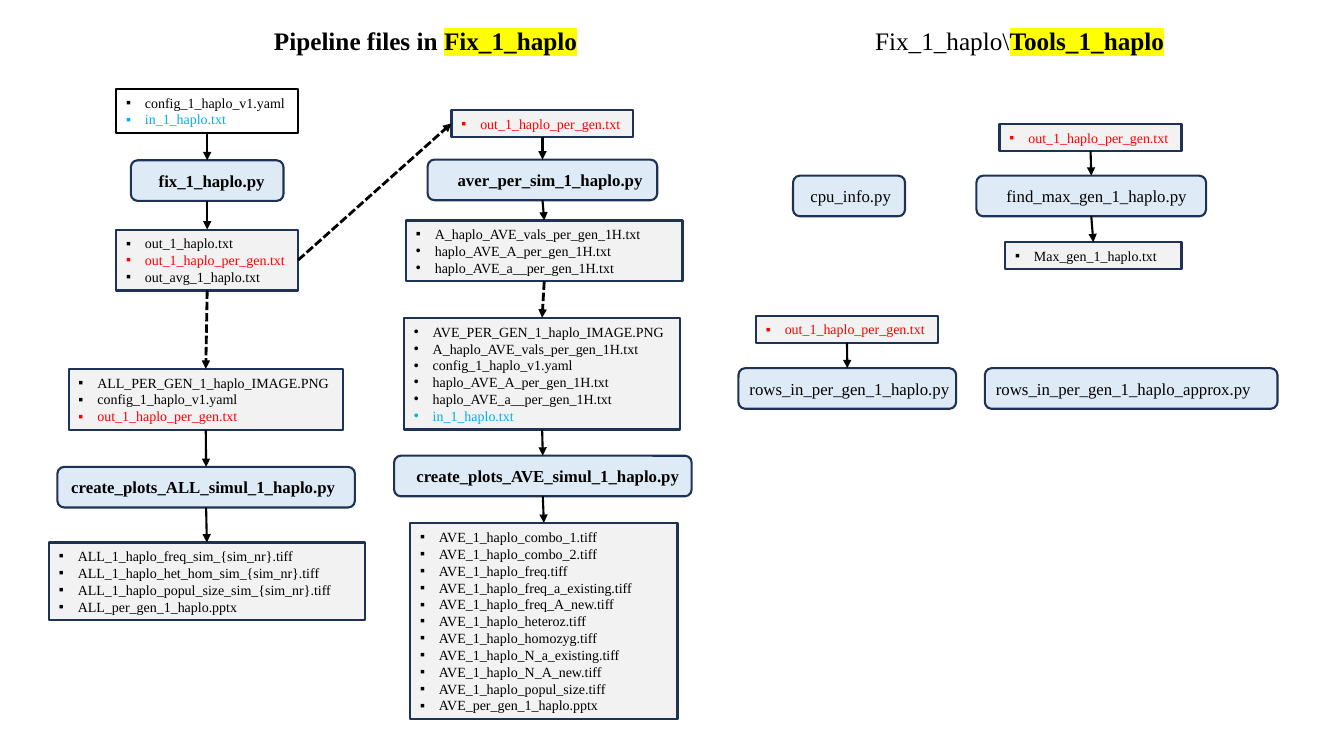
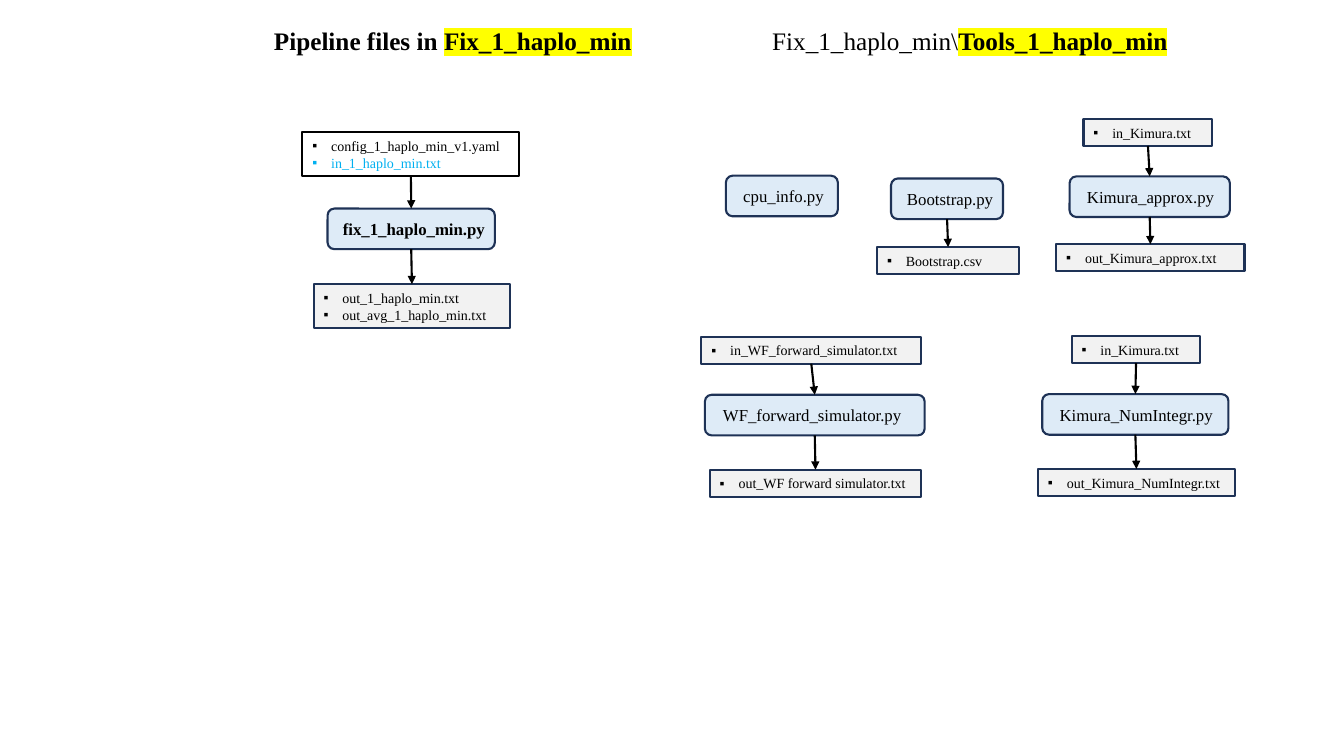
from lxml.etree import SubElement
from pptx import Presentation
from pptx.dml.color import RGBColor
from pptx.enum.dml import MSO_LINE
from pptx.enum.shapes import MSO_CONNECTOR, MSO_SHAPE
from pptx.enum.text import MSO_ANCHOR, PP_ALIGN
from pptx.oxml.ns import qn
from pptx.util import Pt

FONT = "Times New Roman"
BLACK, NAVY, RED, CYAN, YELLOW = "000000", "1E3256", "FF0000", "00B0F0", "FFFF00"
FILLS = {"input": None, "files": "F2F2F2", "main": "DEEBF7", "tool": "DEEBF7"}
BOTTOM, RIGHT, TOP, LEFT = 2, 3, 0, 1
SCRIPT_H, INSET, LINE_H = 29, 3.6, 12.1
FRAME = {"word_wrap": True, "vertical_anchor": MSO_ANCHOR.MIDDLE, "margin_left": Pt(7.2),
         "margin_right": 0, "margin_top": Pt(INSET), "margin_bottom": Pt(INSET)}
TITLE = {**FRAME, "word_wrap": False, "vertical_anchor": MSO_ANCHOR.TOP}
PER_GEN = "out_1_haplo_per_gen.txt"

SLIDES = [
    {
        "titles": [(188.5, 233, "Pipeline files in ", "Fix_1_haplo", True),
                   (618, 223, "Fix_1_haplo\\", "Tools_1_haplo", False)],
        "files": {
            "config": ("input", 83, 63.5, 130, ["config_1_haplo_v1.yaml", "in_1_haplo.txt"]),
            "fix_out": ("files", 83, 164, 130, ["out_1_haplo.txt", PER_GEN, "out_avg_1_haplo.txt"]),
            "all_in": ("files", 49, 263.5, 196,
                       ["ALL_PER_GEN_1_haplo_IMAGE.PNG", "config_1_haplo_v1.yaml", PER_GEN]),
            "all_out": ("files", 35, 387.5, 225.5,
                        ["ALL_1_haplo_freq_sim_{sim_nr}.tiff",
                         "ALL_1_haplo_het_hom_sim_{sim_nr}.tiff",
                         "ALL_1_haplo_popul_size_sim_{sim_nr}.tiff",
                         "ALL_per_gen_1_haplo.pptx"]),
            "aver_in": ("files", 322.5, 78.5, 130, [PER_GEN]),
            "aver_out": ("files", 290, 157.5, 197.5,
                         ["A_haplo_AVE_vals_per_gen_1H.txt", "•haplo_AVE_A_per_gen_1H.txt",
                          "•haplo_AVE_a__per_gen_1H.txt"]),
            "ave_in": ("files", 288.5, 227, 197.5,
                       ["•AVE_PER_GEN_1_haplo_IMAGE.PNG", "•A_haplo_AVE_vals_per_gen_1H.txt",
                        "•config_1_haplo_v1.yaml", "•haplo_AVE_A_per_gen_1H.txt",
                        "•haplo_AVE_a__per_gen_1H.txt", "•in_1_haplo.txt"]),
            "ave_out": ("files", 293, 373.5, 191,
                        ["AVE_1_haplo_combo_1.tiff", "AVE_1_haplo_combo_2.tiff",
                         "AVE_1_haplo_freq.tiff", "AVE_1_haplo_freq_a_existing.tiff",
                         "AVE_1_haplo_freq_A_new.tiff", "AVE_1_haplo_heteroz.tiff",
                         "AVE_1_haplo_homozyg.tiff", "AVE_1_haplo_N_a_existing.tiff",
                         "AVE_1_haplo_N_A_new.tiff", "AVE_1_haplo_popul_size.tiff",
                         "AVE_per_gen_1_haplo.pptx"]),
            "max_in": ("files", 714, 88.5, 130, [PER_GEN]),
            "max_out": ("files", 718, 173, 126, ["Max_gen_1_haplo.txt"]),
            "rows_in": ("files", 540, 225.5, 130, [PER_GEN]),
        },
        "scripts": {
            "fix": ("main", 93.5, 114.5, 109, 18.5, "fix_1_haplo.py"),
            "all": ("main", 41, 333.5, 212.5, 8.5, "create_plots_ALL_simul_1_haplo.py"),
            "aver": ("main", 305.5, 114, 164, 20, "aver_per_sim_1_haplo.py"),
            "ave": ("main", 281.5, 325.5, 212.5, 14.5, "create_plots_AVE_simul_1_haplo.py"),
            "cpu": ("tool", 566.5, 125.5, 80, 11, "cpu_info.py"),
            "max": ("tool", 697.5, 125.5, 164, 20, "find_max_gen_1_haplo.py"),
            "rows": ("tool", 527.5, 263, 155.5, 6.5, "rows_in_per_gen_1_haplo.py"),
            "approx": ("tool", 703.5, 263, 209, 6.5, "rows_in_per_gen_1_haplo_approx.py"),
        },
        "arrows": ["config fix", "fix fix_out", "all_in all", "all all_out", "aver_in aver",
                   "aver aver_out", "ave_in ave", "ave ave_out", "max_in max", "max max_out",
                   "rows_in rows"],
        "dashed": [("fix_out", BOTTOM, "all_in", TOP), ("aver_out", BOTTOM, "ave_in", TOP),
                   ("fix_out", RIGHT, "aver_in", LEFT)],
    },
    {
        "titles": [(188.5, 273, "Pipeline files in ", "Fix_1_haplo_min", True),
                   (544.5, 299.5, "Fix_1_haplo_min\\", "Tools_1_haplo_min", False)],
        "files": {
            "config": ("input", 216, 94.5, 155,
                       ["config_1_haplo_min_v1.yaml", "in_1_haplo_min.txt"]),
            "fix_out": ("files", 224, 203, 140.5,
                        ["out_1_haplo_min.txt", "out_avg_1_haplo_min.txt"]),
            "boot_out": ("files", 626.5, 176.5, 101.5, ["Bootstrap.csv"]),
            "kimura_in": ("files", 774, 85, 92, ["in_Kimura.txt"]),
            "kimura_out": ("files", 754.5, 174.5, 134.5, ["out_Kimura_approx.txt"]),
            "integr_in": ("files", 765.5, 240, 92, ["in_Kimura.txt"]),
            "integr_out": ("files", 741.5, 335, 140.5, ["out_Kimura_NumIntegr.txt"]),
            "wf_in": ("files", 501, 240.5, 157, ["in_WF_forward_simulator.txt"]),
            "wf_out": ("files", 507, 335.5, 151, ["out_WF forward simulator.txt"]),
        },
        "scripts": {
            "fix": ("main", 234, 149, 119.5, 9.5, "fix_1_haplo_min.py"),
            "cpu": ("tool", 518.5, 125.5, 80, 11, "cpu_info.py"),
            "boot": ("tool", 636.5, 127.5, 80, 10, "Bootstrap.py"),
            "kimura": ("tool", 764, 126, 114.5, 11, "Kimura_approx.py"),
            "integr": ("tool", 744.5, 281.5, 133, 11, "Kimura_NumIntegr.py"),
            "wf": ("tool", 503.5, 282, 157, 11.5, "WF_forward_simulator.py"),
        },
        "arrows": ["config fix", "fix fix_out", "boot boot_out", "kimura_in kimura",
                   "kimura kimura_out", "integr_in integr", "integr integr_out", "wf_in wf",
                   "wf wf_out"],
        "dashed": [],
    },
]


def rgb(color):
    return RGBColor.from_string(color)


def add_run(p, text, size, color=BLACK, bold=False):
    p.alignment = PP_ALIGN.LEFT
    r = p.add_run()
    r.text = text
    r.font.color.rgb = rgb(color)
    for name, value in {"name": FONT, "size": Pt(size), "bold": bold}.items():
        setattr(r.font, name, value)
    return r


prs = Presentation()
prs.slide_width, prs.slide_height = Pt(960), Pt(540)

for page in SLIDES:
    s = prs.slides.add_slide(prs.slide_layouts[5])
    tools_title = s.shapes.add_textbox(0, 0, 0, 0)
    for sp, (x, w, lead, folder, bold) in zip((s.shapes.title, tools_title), page["titles"]):
        sp.left, sp.top, sp.width, sp.height = Pt(x), Pt(14.5), Pt(w), Pt(29)
        for name, value in TITLE.items():
            setattr(sp.text_frame, name, value)
        p = sp.text_frame.paragraphs[0]
        p.line_spacing = 1.0
        add_run(p, lead, 18, bold=bold)
        r = add_run(p, folder, 18, bold=True)
        rPr = r.font._element
        mark = SubElement(rPr, qn("a:highlight"))
        SubElement(mark, qn("a:srgbClr"), val=YELLOW)
        rPr.find(qn("a:solidFill")).addnext(mark)

    boxes = {}
    for key, (kind, x, y, w, *content) in {**page["files"], **page["scripts"]}.items():
        is_script = kind in ("main", "tool")
        h = SCRIPT_H if is_script else 2 * INSET + LINE_H * len(content[0])
        shape = MSO_SHAPE.ROUNDED_RECTANGLE if is_script else MSO_SHAPE.RECTANGLE
        sp = boxes[key] = s.shapes.add_shape(shape, Pt(x), Pt(y), Pt(w), Pt(h))
        sp.shadow.inherit = False
        if FILLS[kind]:
            sp.fill.solid()
            sp.fill.fore_color.rgb = rgb(FILLS[kind])
        else:
            sp.fill.background()
        sp.line.color.rgb = rgb(BLACK if kind == "input" else NAVY)
        sp.line.width = Pt(1.5)
        tf = sp.text_frame
        for name, value in FRAME.items():
            setattr(tf, name, value)
        if is_script:
            tf.margin_left = Pt(content[0])
            add_run(tf.paragraphs[0], content[1], 12, bold=kind == "main")
            continue
        for i, item in enumerate(content[0]):
            p = tf.add_paragraph() if i else tf.paragraphs[0]
            text = item.lstrip("•")
            color = RED if text == PER_GEN else CYAN if text.startswith("in_1_haplo") else BLACK
            add_run(p, text, 10, color)
            pPr = p._p.get_or_add_pPr()
            pPr.set("marL", str(Pt(13.5)))
            pPr.set("indent", str(-Pt(13.5)))
            SubElement(pPr, qn("a:buFont"), typeface="Arial")
            SubElement(pPr, qn("a:buChar"), char="▪" if text == item else "•")

    links = [(a, BOTTOM, b, TOP, False) for a, b in map(str.split, page["arrows"])]
    links += [(*link, True) for link in page["dashed"]]
    for start, start_side, end, end_side, dashed in links:
        c = s.shapes.add_connector(MSO_CONNECTOR.STRAIGHT, 0, 0, 0, 0)
        c.begin_connect(boxes[start], start_side)
        c.end_connect(boxes[end], end_side)
        c.line.color.rgb = rgb(BLACK)
        c.line.width = Pt(2 if dashed else 1.5)
        if dashed:
            c.line.dash_style = MSO_LINE.SQUARE_DOT
        SubElement(c.line._get_or_add_ln(), qn("a:tailEnd"), type="triangle")
        SubElement(c._element.spPr, qn("a:effectLst"))

prs.save("out.pptx")
